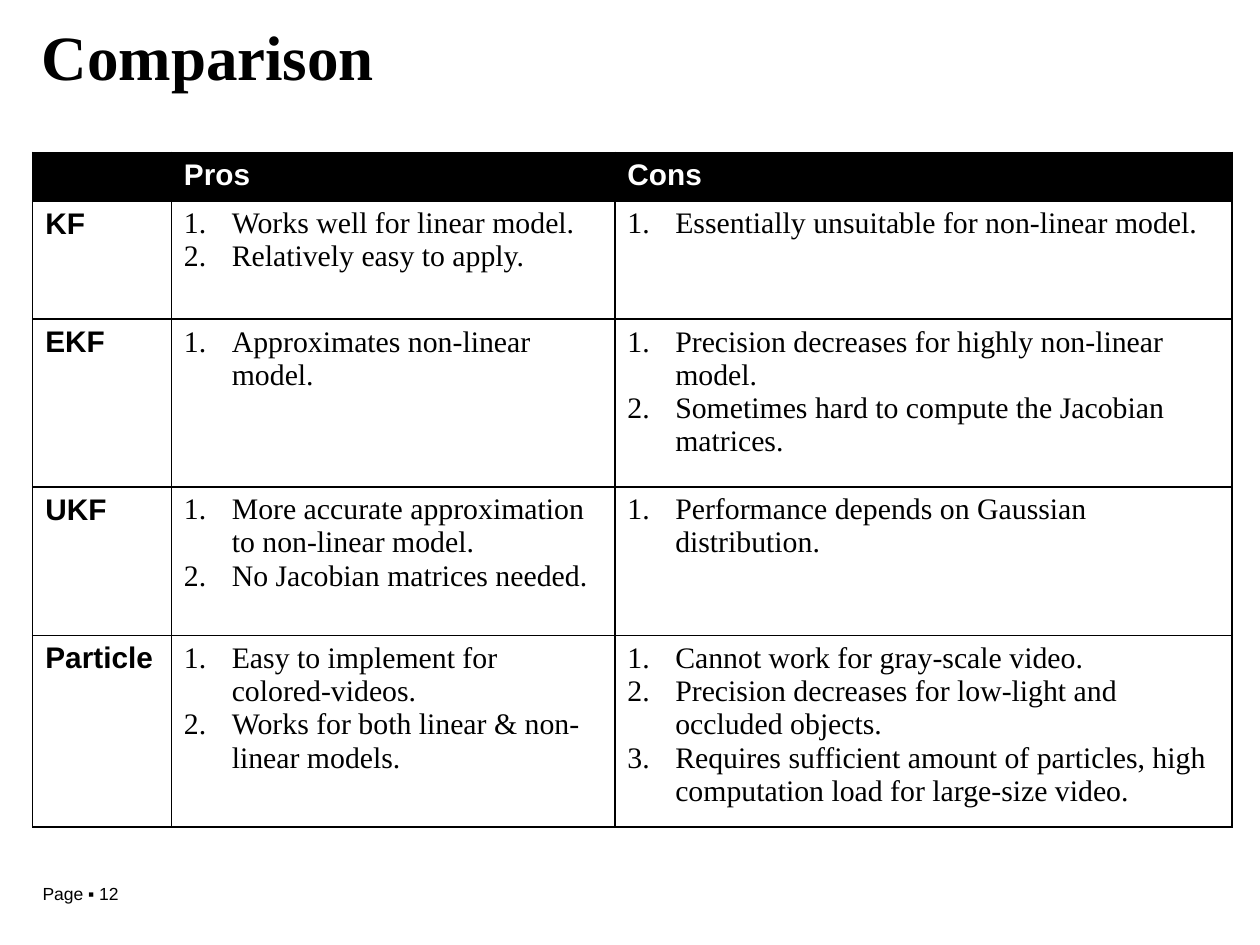
from lxml import etree
from pptx import Presentation
from pptx import util as u
from pptx.dml.color import RGBColor
from pptx.enum import text
from pptx.oxml import ns

BLACK, WHITE = "000000", "FFFFFF"
SANS, SERIF = "Arial", "Times New Roman"

COLUMNS = [1.1, 3.52, 4.9]
ROWS = [0.38, 0.94, 1.33, 1.18, 1.52]
HEADINGS = ["", "Pros", "Cons"]
FILTERS = [
    ("KF",
     ["Works well for linear model.", "Relatively easy to apply."],
     ["Essentially unsuitable for non-linear model."]),
    ("EKF",
     ["Approximates non-linear model."],
     ["Precision decreases for highly non-linear model.",
      "Sometimes hard to compute the Jacobian matrices."]),
    ("UKF",
     ["More accurate approximation to non-linear model.",
      "No Jacobian matrices needed."],
     ["Performance depends on Gaussian distribution."]),
    ("Particle",
     ["Easy to implement for colored-videos.",
      "Works for both linear & non-linear models."],
     ["Cannot work for gray-scale video.",
      "Precision decreases for low-light and occluded objects.",
      "Requires sufficient amount of particles, high computation load "
      "for large-size video."]),
]


def color(value):
    return RGBColor.from_string(value)


def add_xml(parent, tag, **attributes):
    return etree.SubElement(parent, ns.qn(tag), attributes)


class SlideBuilder:
    text_size = 17
    indent = 0.38
    border = 1

    def __init__(self, page):
        self.page = page

    def add_span(self, para, words, font, size, ink=BLACK, bold=False):
        span = para.add_run()
        span.text = words
        span.font.name = font
        span.font.size = u.Pt(size)
        span.font.bold = bold
        span.font.color.rgb = color(ink)

    def label(self, words, left, top, width, height, font, size,
              bold=False, inset=0.1, spacing=None):
        box = self.page.shapes.add_textbox(
            u.Inches(left), u.Inches(top), u.Inches(width), u.Inches(height))
        frame = box.text_frame
        frame.word_wrap = True
        frame.vertical_anchor = text.MSO_ANCHOR.MIDDLE
        frame.margin_left = frame.margin_right = u.Inches(inset)
        para = frame.paragraphs[0]
        para.line_spacing = spacing
        self.add_span(para, words, font, size, bold=bold)

    def table(self, left, top, columns, rows):
        frame = self.page.shapes.add_table(
            len(rows), len(columns), u.Inches(left), u.Inches(top),
            u.Inches(sum(columns)), u.Inches(sum(rows)))
        grid = frame.table
        for column, width in zip(grid.columns, columns):
            column.width = u.Inches(width)
        for row, height in zip(grid.rows, rows):
            row.height = u.Inches(height)
        return grid

    def cell(self, cell, fill=None):
        properties = cell._tc.get_or_add_tcPr()
        for side in ("a:lnL", "a:lnR", "a:lnT", "a:lnB"):
            line = add_xml(properties, side, w=str(u.Pt(self.border)))
            add_xml(add_xml(line, "a:solidFill"), "a:srgbClr", val=BLACK)
        if fill:
            cell.fill.solid()
            cell.fill.fore_color.rgb = color(fill)
        else:
            cell.fill.background()

    def heading(self, cell, words, ink=BLACK, fill=None):
        self.cell(cell, fill)
        para = cell.text_frame.paragraphs[0]
        para.font.size = u.Pt(self.text_size)
        if words:
            self.add_span(para, words, SANS, self.text_size, ink, bold=True)

    def numbered(self, cell, items):
        self.cell(cell)
        frame = cell.text_frame
        for index, item in enumerate(items):
            para = frame.add_paragraph() if index else frame.paragraphs[0]
            properties = para._p.get_or_add_pPr()
            properties.set("marL", str(u.Inches(self.indent)))
            properties.set("indent", str(-u.Inches(self.indent)))
            add_xml(properties, "a:buFont", typeface=SERIF)
            add_xml(properties, "a:buAutoNum", type="arabicPeriod")
            self.add_span(para, item, SERIF, self.text_size)


def main():
    deck = Presentation()
    deck.slide_width, deck.slide_height = u.Inches(10), u.Inches(7.5)
    builder = SlideBuilder(deck.slides.add_slide(deck.slide_layouts[6]))

    # Footer and title
    builder.label("Page ▪ 12", 0.24, 6.96, 1.47, 0.27, SANS, 10)
    builder.label("Comparison", 0.33, 0.12, 9.32, 0.71, SERIF, 36,
                  bold=True, inset=0, spacing=0.9)

    # Comparison table
    grid = builder.table(0.26, 1.21, COLUMNS, ROWS)
    for column, words in enumerate(HEADINGS):
        builder.heading(grid.cell(0, column), words, WHITE, BLACK)
    for row, (name, pros, cons) in enumerate(FILTERS, start=1):
        builder.heading(grid.cell(row, 0), name)
        builder.numbered(grid.cell(row, 1), pros)
        builder.numbered(grid.cell(row, 2), cons)

    deck.save("out.pptx")


if __name__ == "__main__":
    main()
